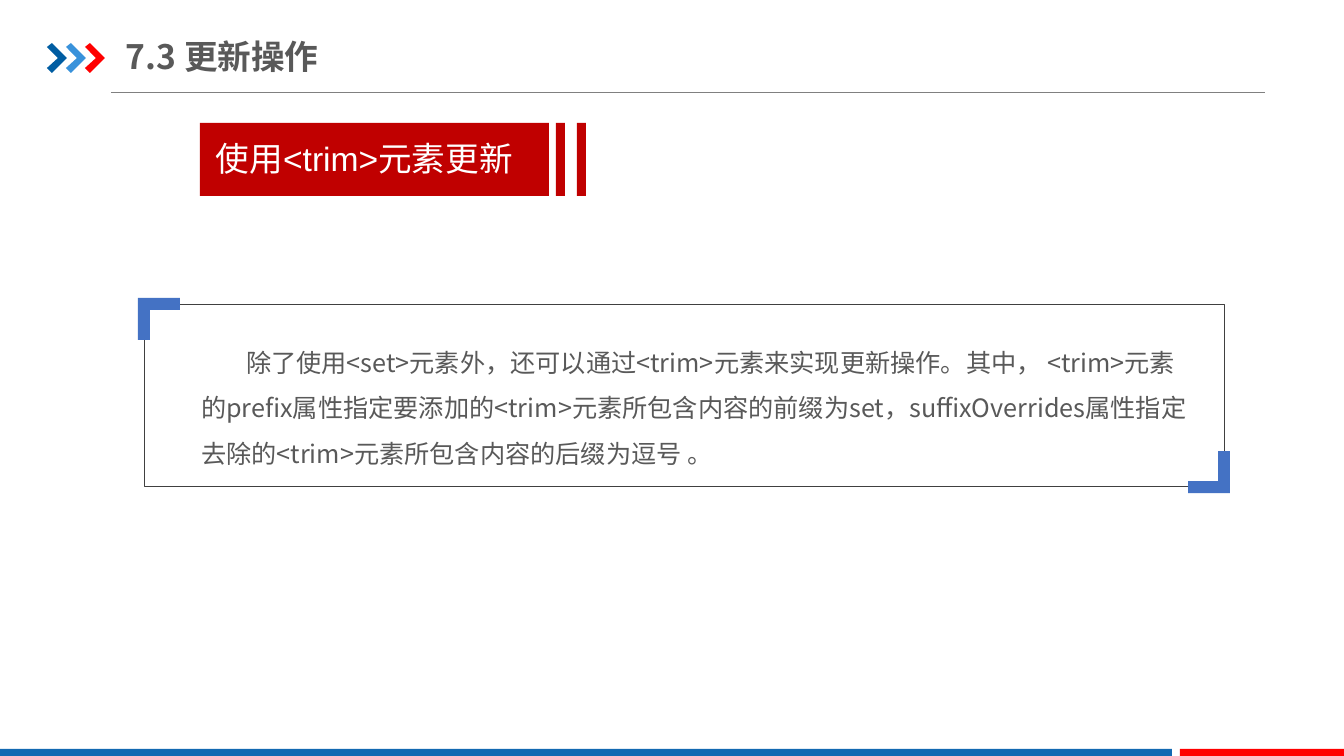
from lxml.etree import SubElement
from pptx import Presentation
from pptx.dml.color import RGBColor
from pptx.enum.shapes import MSO_CONNECTOR as Connector, MSO_SHAPE as Preset
from pptx.enum.text import MSO_ANCHOR as Anchor, MSO_AUTO_SIZE as Fit, PP_ALIGN as Align
from pptx.oxml.ns import qn
from pptx.util import Pt

PX = 914400 / 100.8
COLORS = {
    "navy": "005DA2",
    "sky": "3992DB",
    "red": "FF0000",
    "footer": "1369B2",
    "label": "C00000",
    "corner": "4472C4",
    "text": "595959",
    "white": "FFFFFF",
    "rule": "808080",
    "frame": "404040",
}
CHEVRON = [(0, 4), (5, 0), (20, 15), (5, 30), (0, 25), (11, 15)]
CORNER = [(0, 0), (42, 0), (42, 12), (12, 12), (12, 42), (0, 42)]


def px(length):
    return round(length * PX)


def color(name):
    return RGBColor.from_string(COLORS[name])


class SlideBuilder:
    cjk_font = "Noto Sans CJK SC"

    def __init__(self, page):
        self.page = page
        self.shapes = page.shapes

    def paint(self, shape, fill=None, line=None, width=0.25):
        shape.shadow.inherit = False
        if fill:
            shape.fill.solid()
            shape.fill.fore_color.rgb = color(fill)
        else:
            shape.fill.background()
        if line:
            shape.line.color.rgb = color(line)
            shape.line.width = Pt(width)
        else:
            shape.line.fill.background()
        return shape

    def block(self, left, top, width, height, fill=None, line=None, preset=Preset.RECTANGLE):
        shape = self.shapes.add_shape(preset, px(left), px(top), px(width), px(height))
        return self.paint(shape, fill, line)

    def outline(self, left, top, points, fill, rotation=0):
        placed = [(left + x, top + y) for x, y in points]
        builder = self.shapes.build_freeform(*placed[0], scale=PX)
        builder.add_line_segments(placed[1:], close=True)
        shape = self.paint(builder.convert_to_shape(), fill)
        shape.rotation = rotation

    def rule(self, left, top, right):
        line = self.shapes.add_connector(Connector.STRAIGHT, px(left), px(top), px(right), px(top))
        line.line.color.rgb = color("rule")
        line.line.width = Pt(0.5)
        SubElement(line._element.spPr, qn("a:effectLst"))

    def place(self, shape, left, top, width, height):
        shape.left, shape.top = px(left), px(top)
        shape.width, shape.height = px(width), px(height)
        return shape

    def add_text(self, shape, text, size, fill, font=cjk_font, bold=False, align=Align.LEFT,
                 anchor=Anchor.TOP, insets=(10, 5), spacing=1.0, indent=0):
        box = shape.text_frame
        box.word_wrap = True
        box.auto_size = Fit.NONE
        box.vertical_anchor = anchor
        box.margin_left = box.margin_right = px(insets[0])
        box.margin_top = box.margin_bottom = px(insets[1])
        para = box.paragraphs[0]
        settings = para._p.get_or_add_pPr()
        settings.set("marL", "0")
        settings.set("indent", str(px(indent)))
        SubElement(settings, qn("a:buNone"))
        para.alignment = align
        para.line_spacing = spacing
        para.space_before = Pt(0)
        span = para.add_run()
        span.text = text
        span.font.size = Pt(size)
        span.font.bold = bold
        span.font.name = font
        span.font.color.rgb = color(fill)
        SubElement(span._r.get_or_add_rPr(), qn("a:ea"), typeface=self.cjk_font)


def main():
    deck = Presentation()
    deck.slide_width, deck.slide_height = px(1344), px(756)
    page = deck.slides.add_slide(deck.slide_layouts[1])
    slide = SlideBuilder(page)

    slide.rule(111, 92, 1265)
    for index, fill in enumerate(("navy", "sky", "red")):
        slide.outline(47 + 19 * index, 43, CHEVRON, fill)
    slide.block(0, 749, 1172, 7, "footer")
    slide.block(1180, 749, 164, 7, "red")

    title = slide.place(page.shapes.title, 126, 29, 218, 55)
    slide.add_text(title, "7.3 更新操作", 24, "text", bold=True, anchor=Anchor.MIDDLE, insets=(0, 7))

    for left, width in ((200, 349), (556, 9), (577, 9)):
        slide.block(left, 123, width, 73, "label")
    label = slide.block(206, 133, 337, 50, "label")
    slide.add_text(label, "使用<trim>元素更新", 24, "white", font="Arial", align=Align.JUSTIFY)

    body = slide.place(page.placeholders[1], 191, 327, 1008, 128)
    slide.add_text(
        body,
        "除了使用<set>元素外，还可以通过<trim>元素来实现更新操作。其中， <trim>元素的prefix属性"
        "指定要添加的<trim>元素所包含内容的前缀为set，suffixOverrides属性指定去除的<trim>元素"
        "所包含内容的后缀为逗号 。",
        18, "text", spacing=1.5, indent=45,
    )
    frame = slide.block(144, 304, 1080, 182, line="frame", preset=Preset.ROUNDED_RECTANGLE)
    frame.adjustments[0] = 0
    slide.outline(138, 298, CORNER, "corner")
    slide.outline(1188, 451, CORNER, "corner", rotation=180)

    deck.save("out.pptx")


if __name__ == "__main__":
    main()
